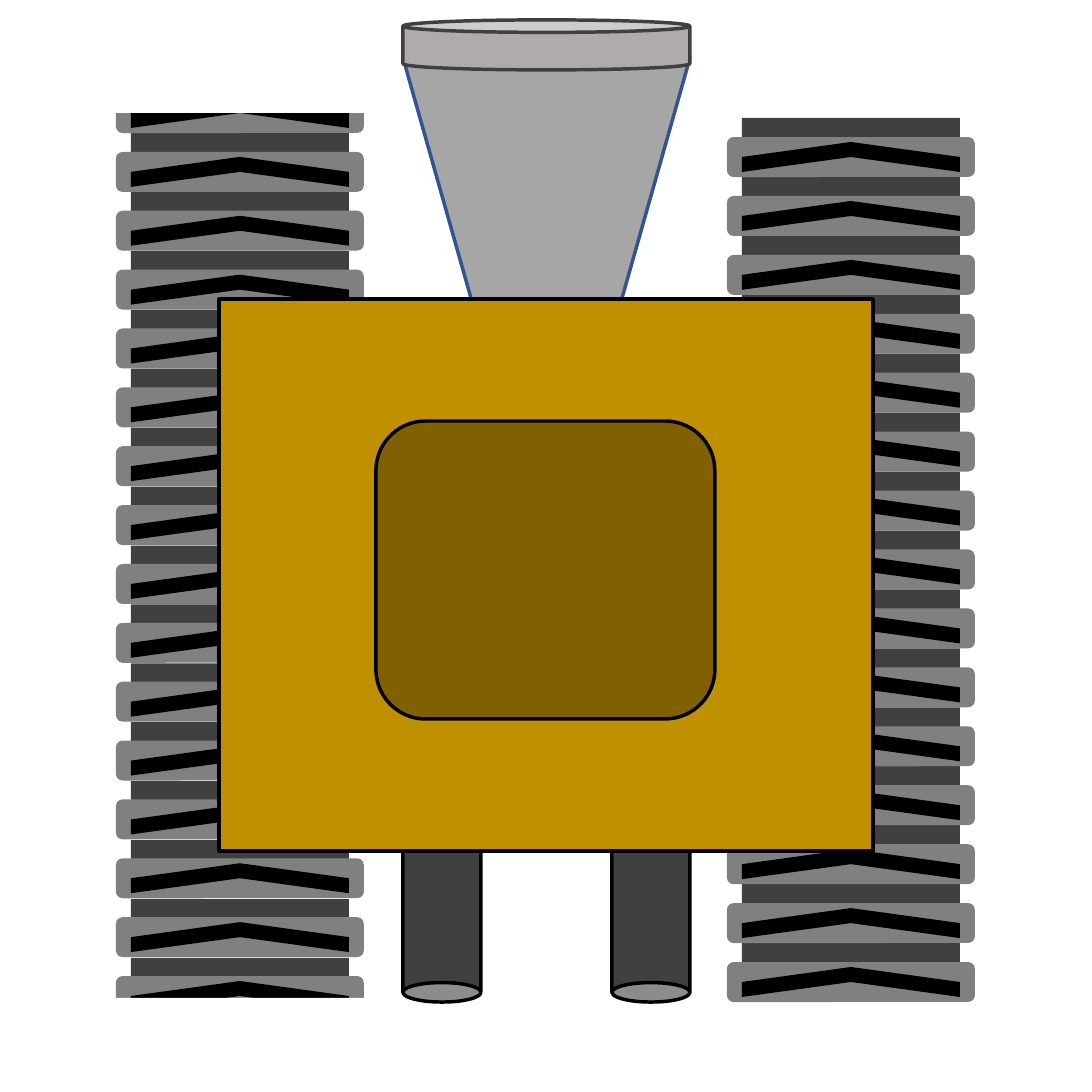
from dataclasses import dataclass

from pptx import Presentation
from pptx.dml.color import RGBColor
from pptx.enum.shapes import MSO_SHAPE as Preset
from pptx.util import Inches, Pt

SLIDE_SIDE = 1092
PIXEL = Inches(1) / 252.2


@dataclass(frozen=True)
class Theme:
    """Colours and the outline width of the machine."""
    pad: str = "808080"
    dark: str = "404040"
    black: str = "000000"
    cover: str = "FFFFFF"
    funnel: str = "A6A6A6"
    funnel_edge: str = "325491"
    rim: str = "AFABAB"
    body: str = "BF9000"
    hatch: str = "806000"
    outline: float = 1


THEME = Theme()

# Rows of a track: first top, last top, count
TRACKS = [
    {"left": 727, "pads": (137, 962, 15), "links": (118, 943, 15), "covers": []},
    {"left": 116, "pads": (93, 976, 16), "links": (133, 958, 15),
     "covers": [(101, 83, 280, 30), (101, 998, 280, 38)]},
]
PAD_WIDTH, PAD_HEIGHT = 248, 40
LINK_WIDTH, LINK_HEIGHT = 218, 20
TREAD_HEIGHT = 30

# Preset, box, fill, outline, rotation, adjustment
MACHINE = [
    (Preset.CAN, (612, 724, 78, 278), THEME.dark, THEME.black, 180, None),
    (Preset.CAN, (403, 724, 78, 278), THEME.dark, THEME.black, 180, None),
    (Preset.TRAPEZOID, (403, 58, 287, 507), THEME.funnel, THEME.funnel_edge, 180, 0.5),
    (Preset.RECTANGLE, (219, 299, 654, 552), THEME.body, THEME.black, 0, None),
    (Preset.ROUNDED_RECTANGLE, (376, 421, 339, 298), THEME.hatch, THEME.black, 0, None),
    (Preset.CAN, (403, 20, 287, 50), THEME.rim, THEME.dark, 0, None),
]


def px(length):
    """Turn pixels into EMU."""
    return round(length * PIXEL)


def add_part(group, preset, box, fill, outline=None, rotation=0, adjustment=None):
    """Add a shape whose box is the area it covers once rotated."""
    left, top, width, height = box
    if rotation % 180:
        left += (width - height) / 2
        top += (height - width) / 2
        width, height = height, width
    part = group.shapes.add_shape(preset, *map(px, (left, top, width, height)))
    part.shadow.inherit = False
    part.rotation = rotation
    part.fill.solid()
    part.fill.fore_color.rgb = RGBColor.from_string(fill)
    if outline:
        part.line.color.rgb = RGBColor.from_string(outline)
        part.line.width = Pt(THEME.outline)
    else:
        part.line.fill.background()
    if adjustment is not None:
        part.adjustments[0] = adjustment


def row_tops(first, last, count):
    """Return evenly spaced tops from first to last."""
    return [first + (last - first) * row / (count - 1) for row in range(count)]


def add_track(slide, left, pads, links, covers):
    """Draw links, padded treads and the covers that trim the ends."""
    track = slide.shapes.add_group_shape()
    link_left = left + (PAD_WIDTH - LINK_WIDTH) / 2
    tread_inset = (PAD_HEIGHT - TREAD_HEIGHT) / 2
    for top in row_tops(*links):
        add_part(track, Preset.RECTANGLE,
                 (link_left, top, LINK_WIDTH, LINK_HEIGHT), THEME.dark)
    for top in row_tops(*pads):
        add_part(track, Preset.ROUNDED_RECTANGLE,
                 (left, top, PAD_WIDTH, PAD_HEIGHT), THEME.pad)
        add_part(track, Preset.CHEVRON,
                 (link_left, top + tread_inset, LINK_WIDTH, TREAD_HEIGHT),
                 THEME.black, rotation=270)
    for cover in covers:
        add_part(track, Preset.RECTANGLE, cover, THEME.cover)


def build():
    """Build the slide and save it."""
    deck = Presentation()
    deck.slide_width = deck.slide_height = px(SLIDE_SIDE)
    slide = deck.slides.add_slide(deck.slide_layouts.get_by_name("Blank"))
    for track in TRACKS:
        add_track(slide, **track)
    machine = slide.shapes.add_group_shape()
    for part in MACHINE:
        add_part(machine, *part)
    deck.save("out.pptx")


build()
